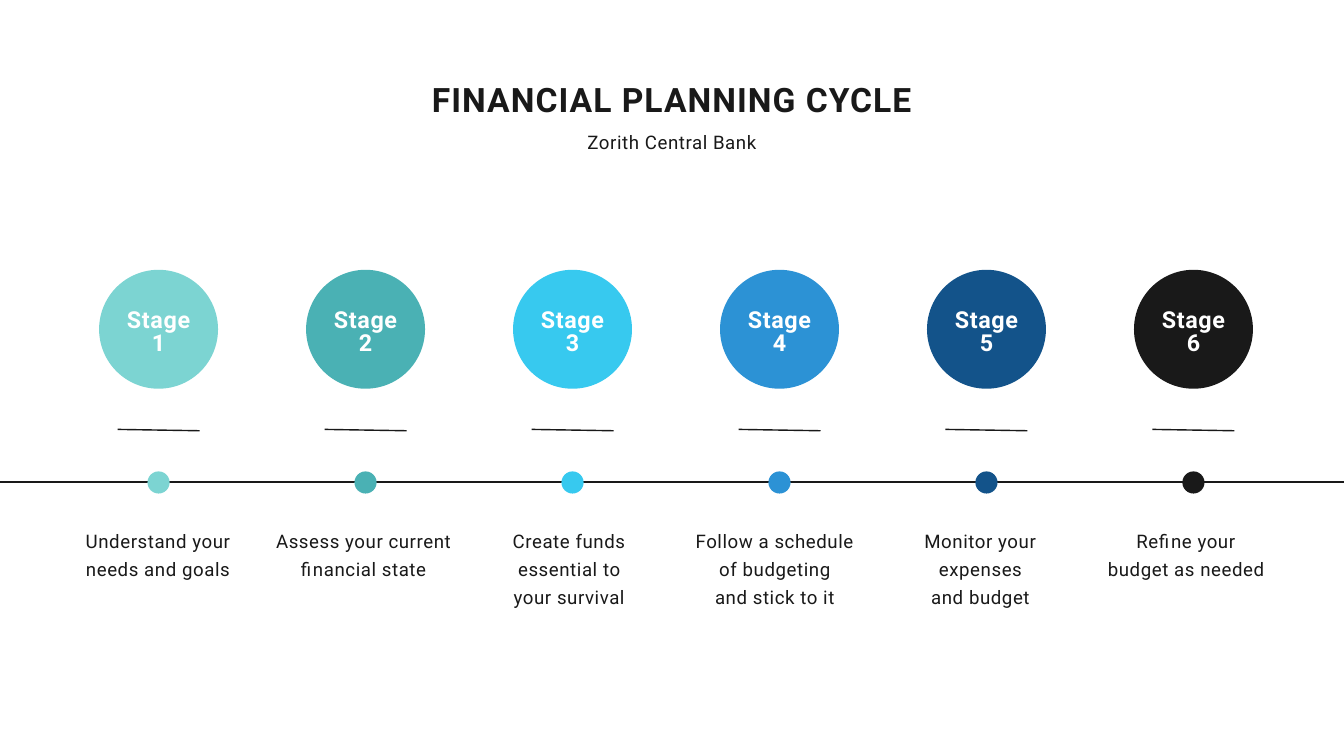
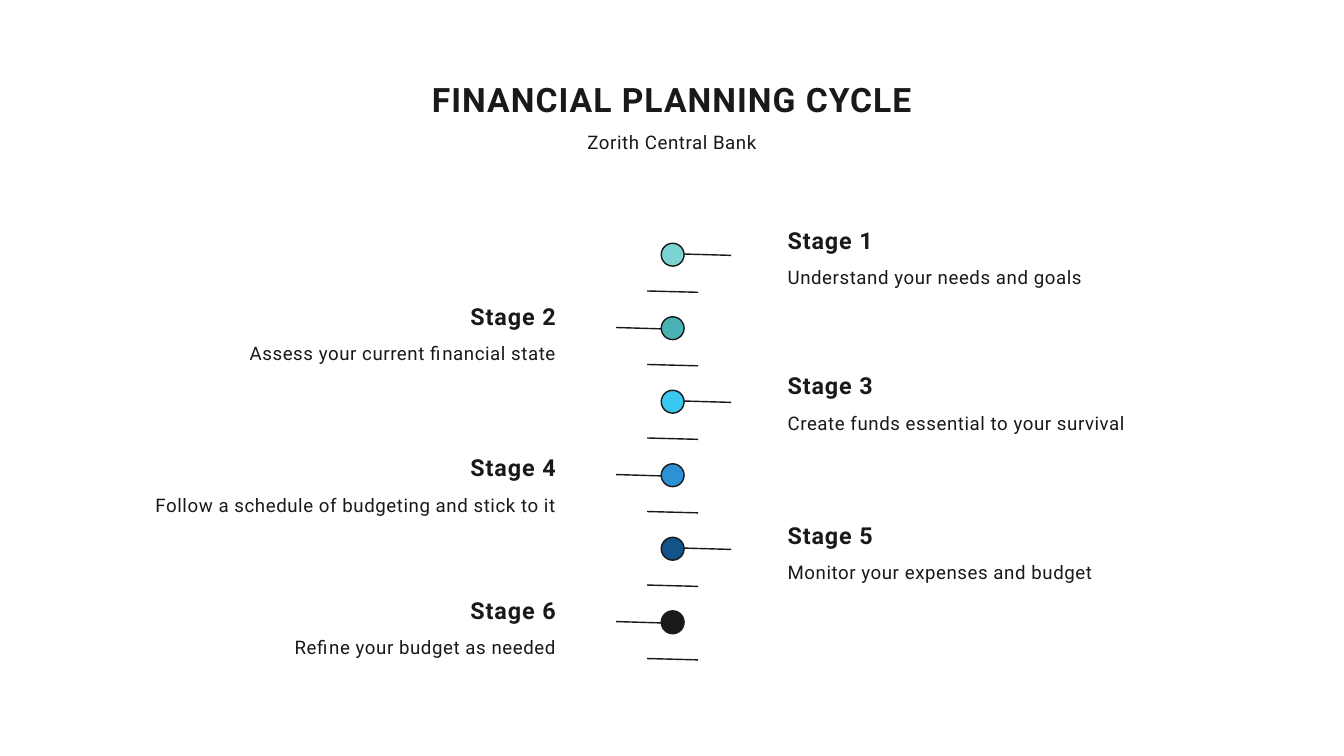
from lxml import etree
from pptx import Presentation
from pptx.dml.color import RGBColor
from pptx.enum.shapes import MSO_CONNECTOR, MSO_SHAPE
from pptx.enum.text import MSO_ANCHOR, PP_ALIGN
from pptx.oxml.ns import qn
from pptx.util import Inches, Pt

LEFT, MID, RIGHT = PP_ALIGN.LEFT, PP_ALIGN.CENTER, PP_ALIGN.RIGHT
TOP, MIDDLE = MSO_ANCHOR.TOP, MSO_ANCHOR.MIDDLE
OVAL, STRAIGHT = MSO_SHAPE.OVAL, MSO_CONNECTOR.STRAIGHT

INK, WHITE = "191919", "FFFFFF"
FONT = "Roboto"
WIDE, HIGH = 20, 11.25

# Text styles: size, line height, letter spacing, bold, colour
TITLE = (36, 47.2, 1.1, True, INK)
BODY = (20, 30, 0.6, False, INK)
HEAD = (25, 35, 1, True, INK)
BADGE = (25, 25, 0.7, True, WHITE)

# Stages: colour, caption lines, caption width, heading top in the list
STAGES = [
    ("7CD4D2", ["Understand your", "needs and goals"], 2.45, 3.3),
    ("4AB1B4", ["Assess your current", "financial state"], 2.76, 4.42),
    ("37C9EF", ["Create funds essential to", "your survival"], 2.45, 5.46),
    ("2C92D5", ["Follow a schedule of budgeting", "and stick to it"], 2.45, 6.68),
    ("13538A", ["Monitor your expenses", "and budget"], 2.45, 7.68),
    (INK, ["Refine your budget as needed"], 2.45, 8.8),
]


def color(code):
    return RGBColor.from_string(code)


class Deck:
    """Holds the style and the current slide, and draws each kind of element."""

    def __init__(self):
        self.prs = Presentation()
        self.prs.slide_width = Inches(WIDE)
        self.prs.slide_height = Inches(HIGH)
        self.slide = None

    def page(self, sub_top):
        self.slide = self.prs.slides.add_slide(self.prs.slide_layouts[6])
        self.text(4.01, 1.12, 11.98, 0.63, ["FINANCIAL PLANNING CYCLE"], TITLE)
        self.text(4.01, sub_top, 11.98, 0.39, ["Zorith Central Bank"], BODY)

    def text(self, x, y, w, h, lines, style, align=MID, anchor=TOP):
        size, lead, gap, bold, ink = style
        box = self.slide.shapes.add_textbox(Inches(x), Inches(y), Inches(w), Inches(h))
        frame = box.text_frame
        frame.word_wrap = True
        frame.vertical_anchor = anchor
        frame.margin_left = frame.margin_right = 0
        frame.margin_top = frame.margin_bottom = 0
        for i, line in enumerate(lines):
            para = frame.add_paragraph() if i else frame.paragraphs[0]
            para.alignment = align
            para.line_spacing = Pt(lead)
            run = para.add_run()
            run.text = line
            font = run.font
            font.name, font.size, font.bold = FONT, Pt(size), bold
            font.color.rgb = color(ink)
            run._r.get_or_add_rPr().set("spc", str(round(gap * 100)))

    def dot(self, x, y, size, fill, edge=None):
        left, top = Inches(x - size / 2), Inches(y - size / 2)
        shape = self.slide.shapes.add_shape(OVAL, left, top, Inches(size), Inches(size))
        shape.shadow.inherit = False
        shape.fill.solid()
        shape.fill.fore_color.rgb = color(fill)
        if edge:
            shape.line.color.rgb = color(edge)
            shape.line.width = Pt(1.5)
        else:
            shape.line.fill.background()

    def line(self, x1, x2, y, drop=0.02):
        rule = self.slide.shapes.add_connector(
            STRAIGHT, Inches(x1), Inches(y), Inches(x2), Inches(y + drop))
        rule.line.color.rgb = color(INK)
        rule.line.width = Pt(1.5)
        etree.SubElement(rule._element.spPr, qn("a:effectLst"))


def draw_row(deck):
    deck.page(1.86)
    deck.line(0, WIDE, 7.17, 0)
    for i, (fill, lines, width, _) in enumerate(STAGES):
        x = 2.36 + 3.08 * i
        deck.dot(x, 4.9, 1.77, fill)
        deck.text(x - 0.72, 4.29, 1.44, 1.33, ["Stage", str(i + 1)], BADGE, anchor=MIDDLE)
        deck.line(x - 0.61, x + 0.61, 6.39)
        deck.dot(x, 7.18, 0.33, fill)
        mid = 2.35 + 3.06 * i
        deck.text(mid - width / 2, 7.8, width, 1.24, lines, BODY)


def draw_list(deck):
    deck.page(1.87)
    x, first, last = 10.01, 3.79, 9.26
    step = (last - first) / (len(STAGES) - 1)
    for i, (fill, lines, _, top) in enumerate(STAGES):
        y = first + step * i
        left, align = (2.08, RIGHT) if i % 2 else (11.72, LEFT)
        start, end = (9.17, 9.84) if i % 2 else (10.18, 10.88)
        deck.line(x - 0.38, x + 0.38, y + 0.54)
        deck.dot(x, y, 0.34, fill, INK)
        deck.line(start, end, y - 0.01)
        deck.text(left, top, 6.19, 0.45, [f"Stage {i + 1}"], HEAD, align)
        deck.text(left, top + 0.58, 6.19, 0.39, [" ".join(lines)], BODY, align)


def main():
    deck = Deck()
    draw_row(deck)
    draw_list(deck)
    deck.prs.save("out.pptx")


if __name__ == "__main__":
    main()
